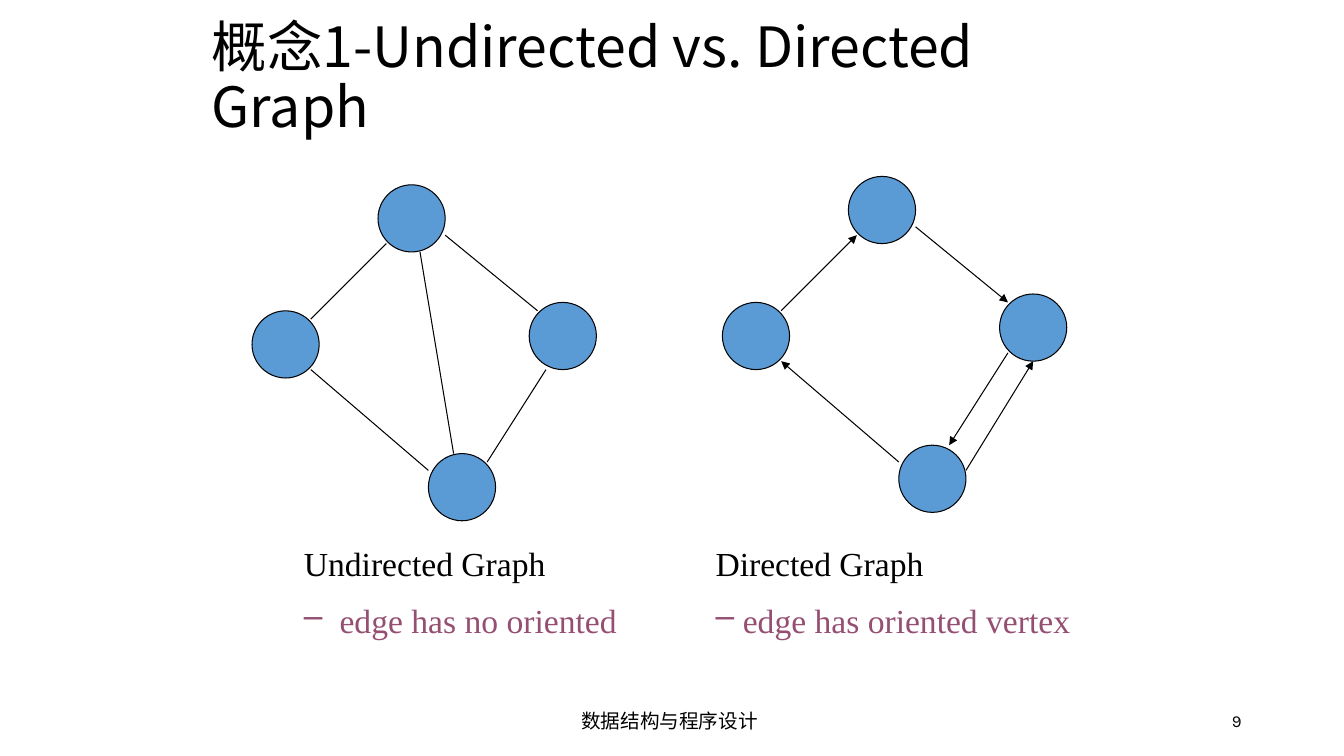
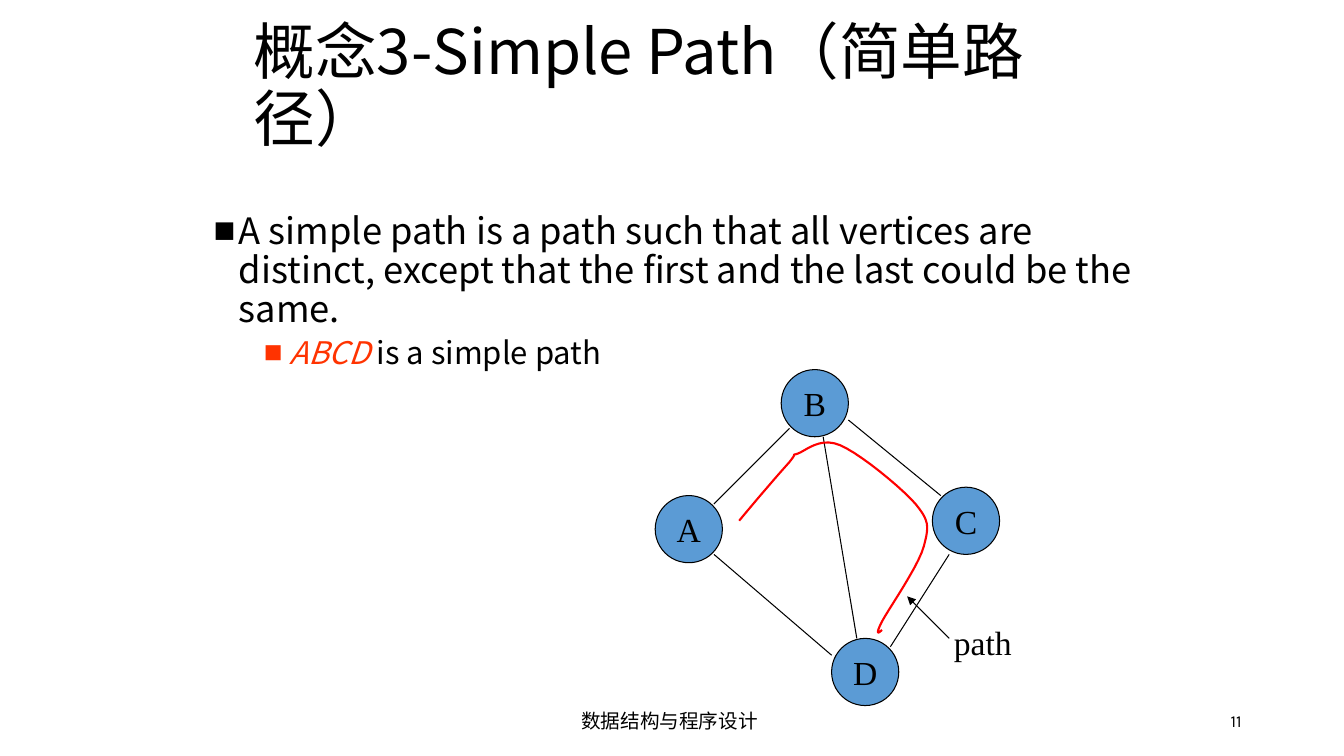
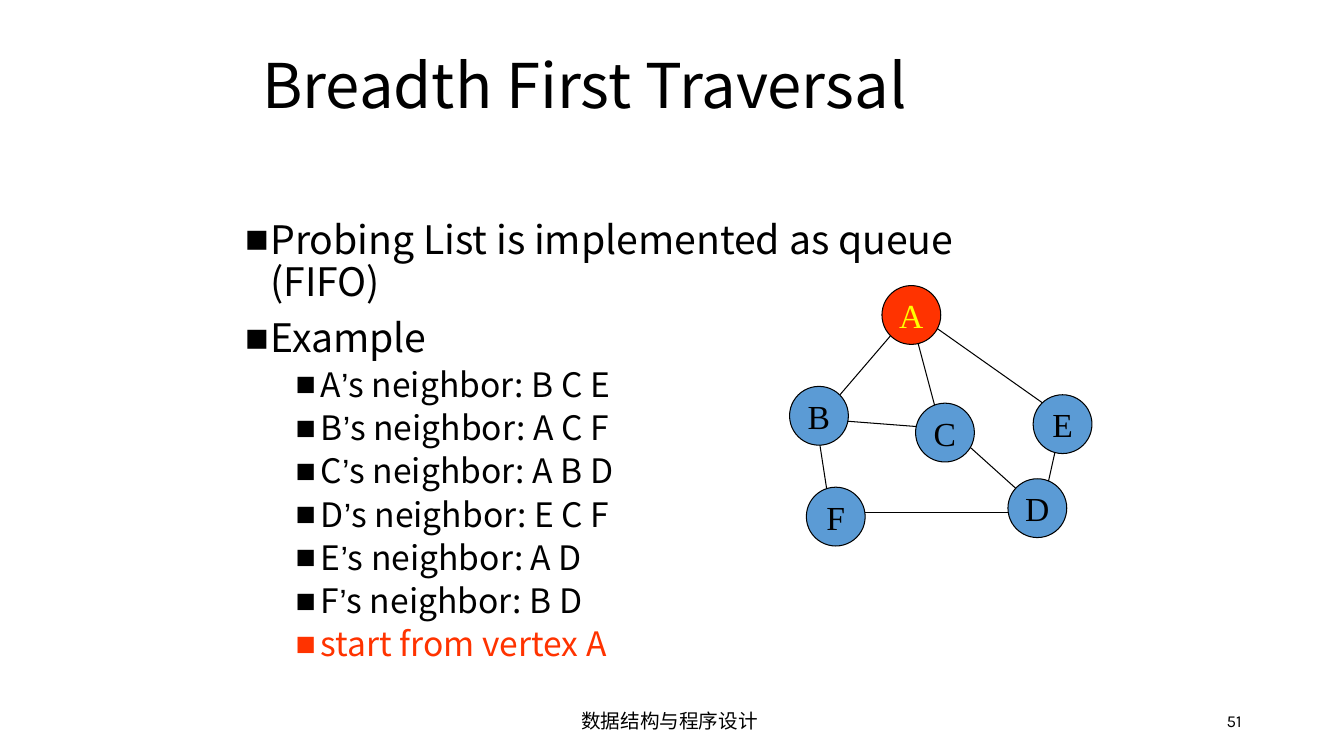
import lxml.etree
import pptx
import pptx.dml.color
import pptx.enum.shapes
import pptx.enum.text
import pptx.oxml.ns
import pptx.util

# Shared look
PX = 9525
BLACK = pptx.dml.color.RGBColor(0x00, 0x00, 0x00)
BLUE = pptx.dml.color.RGBColor(0x5B, 0x9B, 0xD5)
PURPLE = pptx.dml.color.RGBColor(0x95, 0x4F, 0x72)
ORANGE = pptx.dml.color.RGBColor(0xFF, 0x33, 0x00)
YELLOW = pptx.dml.color.RGBColor(0xFF, 0xFF, 0x00)
RED = pptx.dml.color.RGBColor(0xFF, 0x00, 0x00)
SANS = "Noto Sans CJK SC"
SERIF = "Times New Roman"
FOOTER_FONT = "Karla"
APOSTROPHE_FONT = "Arial"
LINE_SPACING = 0.9
FOOTER = "数据结构与程序设计 "
ALIGN = pptx.enum.text.PP_ALIGN
ANCHOR = pptx.enum.text.MSO_ANCHOR

# Four-vertex graph, relative to its top left corner
DIAMOND = {"top": (120, 0), "right": (264, 112), "bottom": (168, 256), "left": (0, 120)}
DIAMOND_NODE = 64
UNDIRECTED_EDGES = [
    ((56, 176), (168, 272)),
    ((128, 56), (56, 128)),
    ((224, 264), (280, 176)),
    ((160, 64), (192, 256)),
    ((184, 48), (272, 120)),
]
DIRECTED_EDGES = [
    ((56, 128), (128, 56)),
    ((168, 272), (56, 176)),
    ((232, 280), (296, 176)),
    ((184, 48), (272, 120)),
    ((272, 168), (216, 256)),
]

# Traversal graph
TRAVERSAL_NODES = {"A": (840, 272), "B": (752, 368), "C": (872, 384),
                   "E": (984, 376), "F": (768, 464), "D": (960, 456)}
TRAVERSAL_NODE = 56
TRAVERSAL_EDGES = [
    ((792, 400), (896, 408)),
    ((848, 320), (800, 376)),
    ((864, 288), (896, 408)),
    ((880, 304), (1016, 400)),
    ((776, 392), (792, 496)),
    ((1008, 416), (992, 488)),
    ((904, 408), (984, 480)),
    ((808, 488), (976, 488)),
]
NEIGHBORS = {"A": "B C E", "B": "A C F", "C": "A B D",
             "D": "E C F", "E": "A D", "F": "B D"}

# Path ABCD: a start, then curves of two control points and an end
PATH_START = (704, 496)
PATH_CURVES = [
    ((723, 473), (743, 450), (752, 440)),
    ((761, 429), (752, 435), (760, 432)),
    ((768, 429), (781, 416), (800, 424)),
    ((819, 432), (858, 464), (872, 480)),
    ((885, 496), (885, 501), (880, 520)),
    ((875, 539), (847, 579), (840, 592)),
    ((833, 606), (837, 603), (840, 600)),
]
CURVE_STEPS = 10


def px(*lengths):
    return [round(length * PX) for length in lengths]


def add_element(parent, tag, **attributes):
    return lxml.etree.SubElement(parent, pptx.oxml.ns.qn(tag), **attributes)


def set_font(font, name, size, color=BLACK):
    font.name = name
    font.size = pptx.util.Pt(size)
    font.color.rgb = color
    latin = font._rPr.find(pptx.oxml.ns.qn("a:latin"))
    east_asian = lxml.etree.Element(pptx.oxml.ns.qn("a:ea"), typeface=name)
    latin.addnext(east_asian)


def set_bullet(paragraph, character, margin, hanging, color):
    properties = paragraph._p.get_or_add_pPr()
    properties.set("marL", str(margin * PX))
    properties.set("indent", str(-hanging * PX))
    bullet_color = add_element(properties, "a:buClr")
    add_element(bullet_color, "a:srgbClr", val=str(color))
    if character == "■":
        add_element(properties, "a:buFont", typeface="Arial")
    add_element(properties, "a:buChar", char=character)


def add_box(slide, left, top, width, height, anchor=ANCHOR.TOP, wrap=True):
    box = slide.shapes.add_textbox(*px(left, top, width, height))
    box.text_frame.word_wrap = wrap
    box.text_frame.vertical_anchor = anchor
    return box.text_frame


def next_paragraph(frame, space_before=0):
    """Return the unused first paragraph, or a new one set off from the last."""
    if not frame.text:
        return frame.paragraphs[0]
    paragraph = frame.add_paragraph()
    paragraph.space_before = pptx.util.Pt(space_before)
    return paragraph


def add_label(slide, text, box, name, size, align, wrap=True):
    frame = add_box(slide, *box, anchor=ANCHOR.MIDDLE, wrap=wrap)
    paragraph = frame.paragraphs[0]
    paragraph.text = text
    paragraph.alignment = align
    set_font(paragraph.font, name, size)


def add_titled_slide(presentation, title, box, size, number):
    slide = presentation.slides.add_slide(presentation.slide_layouts[5])
    shape = slide.shapes.title
    shape.left, shape.top, shape.width, shape.height = px(*box)
    frame = shape.text_frame
    frame.text = title
    frame.word_wrap = True
    frame.auto_size = pptx.enum.text.MSO_AUTO_SIZE.NONE
    frame.vertical_anchor = ANCHOR.MIDDLE
    paragraph = frame.paragraphs[0]
    paragraph.alignment = ALIGN.LEFT
    paragraph.line_spacing = LINE_SPACING
    set_font(paragraph.font, SANS, size)
    add_label(slide, FOOTER, (424, 667, 432, 38), FOOTER_FONT, 14, ALIGN.CENTER)
    add_label(slide, str(number), (904, 667, 288, 38), FOOTER_FONT, 12, ALIGN.RIGHT)
    return slide


def add_bullet(frame, text, size, level=0, color=BLACK, bullet_color=None):
    paragraph = next_paragraph(frame, space_before=5 if level else 10)
    paragraph.level = level
    set_bullet(paragraph, "■", 72 if level else 24, 24, bullet_color or color)
    paragraph.line_spacing = LINE_SPACING
    set_font(paragraph.font, SANS, size, color)
    for part in text if isinstance(text, list) else [text]:
        paragraph.add_run().text = part
    return paragraph


def add_caption(slide, box, heading, remark, hanging):
    frame = add_box(slide, *box)
    paragraph = next_paragraph(frame)
    paragraph.text = heading
    set_font(paragraph.font, SERIF, 24)
    paragraph = next_paragraph(frame, space_before=12)
    paragraph.text = remark
    set_bullet(paragraph, "–", hanging, hanging, PURPLE)
    set_font(paragraph.font, SERIF, 24, PURPLE)


def add_edge(slide, start, end, arrow=False):
    edge = slide.shapes.add_connector(
        pptx.enum.shapes.MSO_CONNECTOR.STRAIGHT, *px(*start, *end))
    edge.line.color.rgb = BLACK
    edge.line.width = pptx.util.Pt(0.75)
    if arrow:
        add_element(edge.line._get_or_add_ln(), "a:tailEnd", type="triangle")
    add_element(edge._element.spPr, "a:effectLst")


def add_node(slide, left, top, size, text="", fill=BLUE, color=BLACK):
    node = slide.shapes.add_shape(
        pptx.enum.shapes.MSO_SHAPE.OVAL, *px(left, top, size, size))
    node.shadow.inherit = False
    node.fill.solid()
    node.fill.fore_color.rgb = fill
    node.line.color.rgb = BLACK
    node.line.width = pptx.util.Pt(0.75)
    if text:
        frame = node.text_frame
        frame.word_wrap = False
        frame.vertical_anchor = ANCHOR.MIDDLE
        paragraph = frame.paragraphs[0]
        paragraph.text = text
        paragraph.alignment = ALIGN.CENTER
        set_font(paragraph.font, SERIF, 24, color)


def add_diamond_graph(slide, left, top, edges, arrow=False, names=None):
    for (x1, y1), (x2, y2) in edges:
        add_edge(slide, (left + x1, top + y1), (left + x2, top + y2), arrow)
    for place, (x, y) in DIAMOND.items():
        add_node(slide, left + x, top + y, DIAMOND_NODE, (names or {}).get(place, ""))


def add_curve(slide, start, curves):
    points = []
    origin = start
    for first, second, end in curves:
        for step in range(1, CURVE_STEPS + 1):
            t = step / CURVE_STEPS
            weights = ((1 - t) ** 3, 3 * t * (1 - t) ** 2, 3 * t ** 2 * (1 - t), t ** 3)
            corners = (origin, first, second, end)
            points.append(px(*(sum(weight * corner[axis]
                                   for weight, corner in zip(weights, corners))
                               for axis in (0, 1))))
        origin = end
    builder = slide.shapes.build_freeform(*px(*start))
    builder.add_line_segments(points, close=False)
    curve = builder.convert_to_shape()
    curve.shadow.inherit = False
    curve.fill.background()
    curve.line.color.rgb = RED
    curve.line.width = pptx.util.Pt(1.5)


def build_graph_kinds(presentation):
    slide = add_titled_slide(presentation, "概念1-Undirected vs. Directed Graph",
                             (192, 16, 896, 120), 39.6, 9)
    add_diamond_graph(slide, 240, 176, UNDIRECTED_EDGES)
    add_diamond_graph(slide, 688, 168, DIRECTED_EDGES, arrow=True)
    add_caption(slide, (280, 512, 336, 107), "Undirected Graph",
                "edge has no oriented", 34)
    add_caption(slide, (672, 512, 448, 107), "Directed Graph",
                "edge has oriented vertex", 26)


def build_simple_path(presentation):
    slide = add_titled_slide(presentation, "概念3-Simple Path（简单路径）",
                             (232, 24, 816, 120), 44, 11)
    frame = add_box(slide, 194, 198, 904, 152)
    add_bullet(frame, "A simple path is a path such that all vertices are distinct, "
                      "except that the first and the last could be the same.", 25.9)
    example = add_bullet(frame, ["ABCD", " is a simple path"], 22.2, level=1,
                         bullet_color=ORANGE)
    example.runs[0].font.italic = True
    example.runs[0].font.color.rgb = ORANGE
    add_diamond_graph(slide, 624, 352, UNDIRECTED_EDGES,
                      names={"top": "B", "right": "C", "bottom": "D", "left": "A"})
    add_edge(slide, (904, 608), (864, 568), arrow=True)
    add_label(slide, "path", (896, 592, 80, 40), SERIF, 24, ALIGN.CENTER, wrap=False)
    add_curve(slide, PATH_START, PATH_CURVES)


def build_traversal(presentation):
    slide = add_titled_slide(presentation, "Breadth First Traversal",
                             (240, 24, 816, 120), 44, 51)
    frame = add_box(slide, 224, 205, 784, 464)
    add_bullet(frame, "Probing List is implemented as queue (FIFO)", 28)
    add_bullet(frame, "Example", 28)
    for vertex, neighbors in NEIGHBORS.items():
        paragraph = add_bullet(frame, [vertex, "’", f"s neighbor: {neighbors}"], 24, level=1)
        paragraph.runs[1].font.name = APOSTROPHE_FONT
    add_bullet(frame, "start from vertex A", 24, level=1, color=ORANGE)
    for start, end in TRAVERSAL_EDGES:
        add_edge(slide, start, end)
    for name, (left, top) in TRAVERSAL_NODES.items():
        fill, color = (ORANGE, YELLOW) if name == "A" else (BLUE, BLACK)
        add_node(slide, left, top, TRAVERSAL_NODE, name, fill, color)


def main():
    presentation = pptx.Presentation()
    presentation.slide_width, presentation.slide_height = px(1280, 720)
    build_graph_kinds(presentation)
    build_simple_path(presentation)
    build_traversal(presentation)
    presentation.save("out.pptx")


if __name__ == "__main__":
    main()
